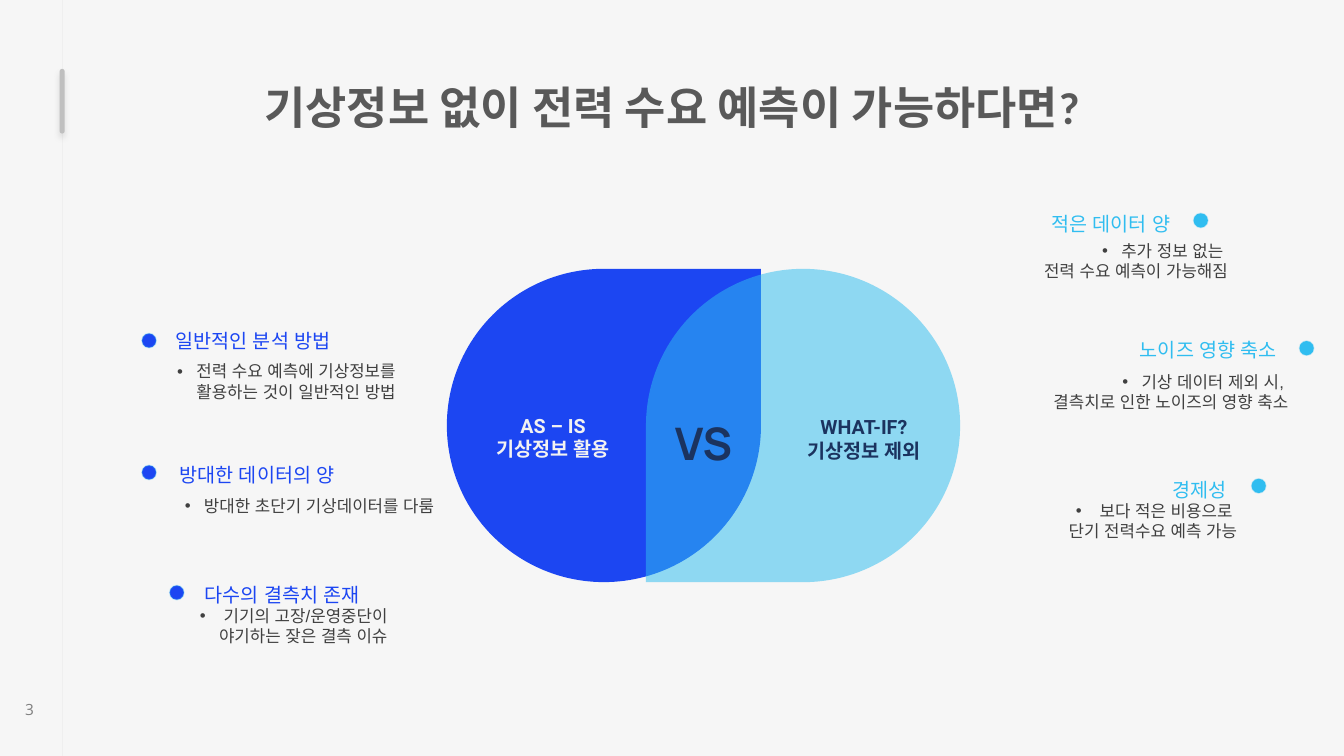
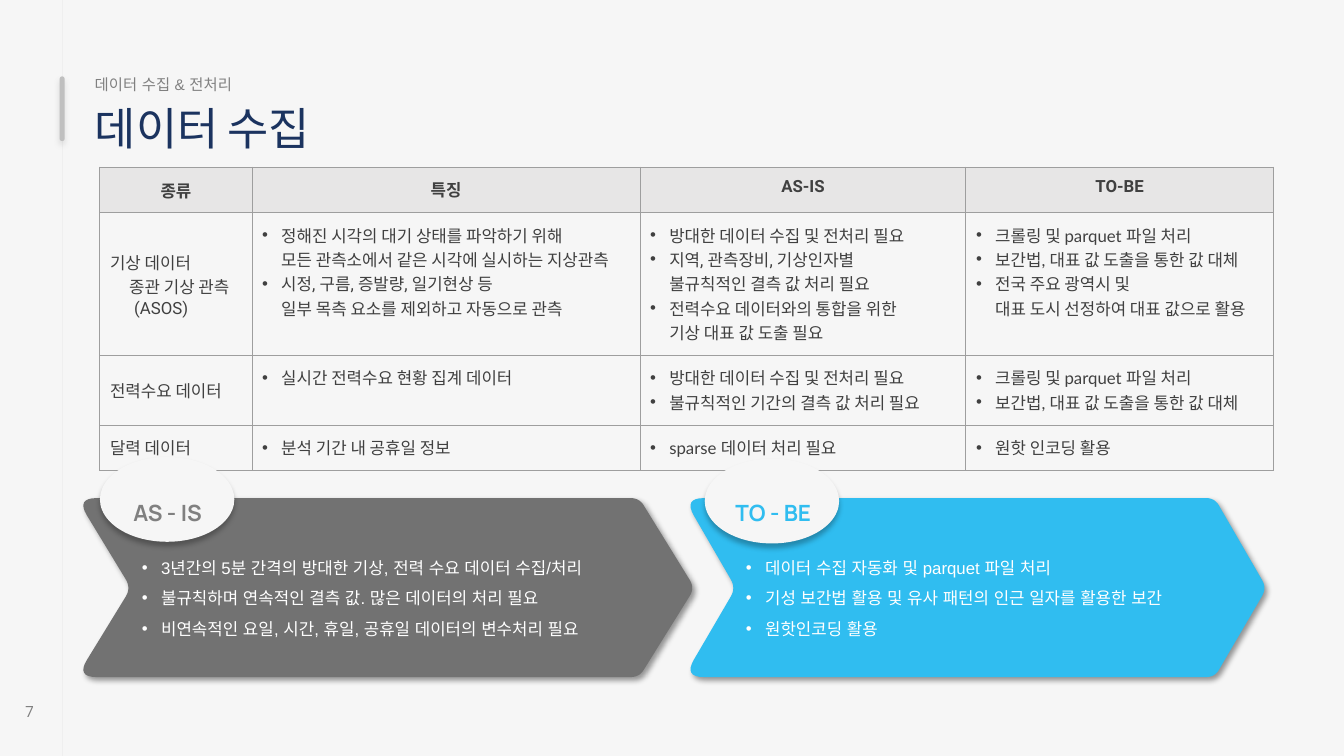
"""Build two slides that weigh weather data against none in power demand forecasts."""
from copy import deepcopy
from dataclasses import dataclass
from lxml import etree
from pptx import Presentation, util as u
from pptx.dml.color import RGBColor
from pptx.enum import shapes, text
from pptx.oxml.ns import qn


@dataclass(frozen=True)
class Theme:
    page: str = "F6F6F6"
    hair: str = "EFEFEF"
    bar: str = "BFBFBF"
    mute: str = "808080"
    title: str = "595959"
    body: str = "404040"
    navy: str = "1B335F"
    blue: str = "1C46F2"
    sky: str = "30BDF0"
    slate: str = "727272"
    head: str = "E7E6E6"
    rule: str = "9E9E9E"
    pale: str = "F2F2F2"
    white: str = "FFFFFF"
    big: int = 32
    badge: int = 16
    label: int = 14
    text: int = 12
    small: int = 11


look = Theme()
deck = Presentation()
deck.slide_width, deck.slide_height = u.Inches(13.33), u.Inches(7.5)
col, row = deck.slide_width / 160, deck.slide_height / 90
kinds = shapes.MSO_SHAPE
left, mid, right = text.PP_ALIGN.LEFT, text.PP_ALIGN.CENTER, text.PP_ALIGN.RIGHT
hang = u.Inches(0.19)
soft = ("808080", 22, 90)
deep = ("000000", 40, 45)
lift = ("000000", 28, 90)


def add(page, kind, box, fill, shade=None):
    """Add a preset shape, or a freeform through a list of points, in grid units."""
    if isinstance(kind, list):
        pen = page.shapes.build_freeform(*kind[0], scale=1.0)
        pen.add_line_segments(kind[1:], close=True)
        form = pen.convert_to_shape()
    else:
        x, y, w, h = box
        form = page.shapes.add_shape(kind, int(x * col), int(y * row), int(w * col), int(h * row))
    form.shadow.inherit = False
    form.fill.solid()
    form.fill.fore_color.rgb = RGBColor.from_string(fill)
    form.line.fill.background()
    if shade:
        hue, part, turn = shade
        glow = etree.SubElement(form._element.spPr.find(qn("a:effectLst")), qn("a:outerShdw"),
                                blurRad=str(u.Pt(4)), dist=str(u.Pt(3)), dir=str(turn * 60000),
                                algn="t", rotWithShape="0")
        tint = etree.SubElement(glow, qn("a:srgbClr"), val=hue)
        etree.SubElement(tint, qn("a:alpha"), val=str(part * 1000))
    return form


def write(host, lines, size, faces, hue, box=None, bold=False, align=left, mark=False,
          pad=None, lead=None, east=True):
    """Write paragraphs in a slide's new text box or in a cell; "|" steps to the next face."""
    if box:
        x, y, w, h = box
        host = host.shapes.add_textbox(int(x * col), int(y * row), int(w * col), int(h * row))
        frame = host.text_frame
        frame.word_wrap = True
        if pad is not None:
            frame.margin_left = frame.margin_right = u.Inches(pad)
            frame.margin_top = frame.margin_bottom = u.Inches(pad)
    else:
        frame = host.text_frame
    for n, line in enumerate(lines):
        para = frame.add_paragraph() if n else frame.paragraphs[0]
        para.alignment = align
        if lead:
            para.line_spacing = lead
        if mark:
            prop = para._p.get_or_add_pPr()
            prop.set("marL", str(hang))
            prop.set("indent", str(-hang))
            etree.SubElement(prop, qn("a:buFont"), typeface="Arial")
            etree.SubElement(prop, qn("a:buChar"), char="•")
        for i, part in enumerate(line.split("|")):
            for j, bit in enumerate(part.split("\n")):
                if j:
                    para.add_line_break()
                    para._p[-1].append(deepcopy(run._r.rPr))
                if not bit:
                    continue
                run = para.add_run()
                run.text = bit
                font = run.font
                font.size, font.bold = u.Pt(size), bold
                font.name = faces[i % len(faces)]
                font.color.rgb = RGBColor.from_string(hue)
                if east:
                    etree.SubElement(run._r.rPr, qn("a:ea"), typeface=font.name)


pages = []
for num, top, foot in (("3", 8.2, 82.7), ("7", 9.1, 83)):
    page = deck.slides.add_slide(deck.slide_layouts[6])
    page.background.fill.solid()
    page.background.fill.fore_color.rgb = RGBColor.from_string(look.page)
    edge = page.shapes.add_connector(shapes.MSO_CONNECTOR.STRAIGHT, int(7.4 * col), 0,
                                     int(7.4 * col), deck.slide_height)
    edge.line.color.rgb = RGBColor.from_string(look.hair)
    edge.line.width = u.Pt(0.5)
    etree.SubElement(edge._element.spPr, qn("a:effectLst"))
    bar = add(page, kinds.ROUNDED_RECTANGLE, (7.1, top, 0.6, 7.7), look.bar, soft)
    bar.adjustments[0] = 0.5
    write(page, [num], look.small, ["Open Sans"], "7F7F7F", (1.8, foot, 5.6, 5.2))
    pages.append(page)
versus, data = pages

write(versus, ["기상정보 없이 전력 수요 예측이 가능하다면?"], look.big, ["Calibri"], look.title,
      (20, 8.9, 120, 7.7), bold=True, align=mid)
add(versus, kinds.TEAR, (53.2, 32, 37.4, 37.3), look.blue)
drop = add(versus, kinds.TEAR, (76.9, 32, 37.4, 37.3), look.sky)
drop.rotation = 180
etree.SubElement(drop._element.spPr.find(".//" + qn("a:srgbClr")), qn("a:alpha"), val="52000")

for lines, x, y, hue, size, face in (
        (["AS – IS", "기상정보 활용"], 57.6, 49, look.pale, look.label, "Roboto"),
        (["WHAT-IF?", "기상정보 제외"], 94.6, 49.2, look.navy, look.label, "Roboto"),
        (["VS"], 75.5, 49.2, look.navy, look.big, "Manrope")):
    write(versus, lines, size, [face], hue, (x, y, 16.5, 7), bold=True, align=mid, pad=0.02)

points = (
    (left, look.blue, (
        ("일반적인 분석 방법", 19.7, 38.6,
         "전력 수요 예측에 기상정보를 활용하는 것이 일반적인 방법", 21.1, 43, 29.6, 16.9, 39.7),
        ("방대한 데이터의 양", 20.2, 54.5,
         "방대한 초단기 기상데이터를 다룸", 22, 59, 31.2, 16.9, 55.4),
        ("다수의 결측치 존재", 23.2, 68.8,
         " 기기의 고장/운영중단이\n야기하는 잦은 결측 이슈", 23.8, 72.1, 37.4, 20.2, 69.7))),
    (right, look.sky, (
        ("적은 데이터 양", 117.1, 24.6,
         "추가 정보 없는 \n전력 수요 예측이 가능해짐", 102.5, 28.6, 43.7, 142.1, 25.4),
        ("노이즈 영향 축소", 129.8, 39.6,
         "기상 데이터 제외 시, \n결측치로 인한 노이즈의 영향 축소", 115.7, 44.2, 37.7, 154.7, 40.6),
        ("경제성", 123.8, 56.3,
         " 보다 적은 비용으로 \n단기 전력수요 예측 가능", 113.6, 59.6, 33.7, 149, 57))))
for side, hue, items in points:
    for name, nx, ny, note, x, y, w, dx, dy in items:
        write(versus, [note], look.text, ["Arial"], look.body, (x, y, w, 4.8),
              align=side, mark=True, pad=0)
        write(versus, [name], look.label, ["Lato"], hue, (nx, ny, 23.4, 4.1), align=side)
        dot = add(versus, kinds.OVAL, (dx, dy, 1.7, 1.7), hue)
        dot.line.color.rgb = RGBColor.from_string(look.sky)
        dot.line.width = u.Pt(1)
        tint = dot.line._ln.find(".//" + qn("a:srgbClr"))
        etree.SubElement(tint, qn("a:alpha"), val="28000")

write(data, ["데이터 수집 & 전처리"], look.small, ["Arial"], look.mute, (10.1, 8.3, 20.8, 3.5))
write(data, ["데이터 수집"], look.big, ["Manrope"], look.navy, (10.1, 11.4, 51.2, 7.7))

crawl = ["크롤링 및 |parquet 파일 처리", "|보간법, 대표 값 도출|을 통한 값 대체"]
bulk = "|방대한 데이터 수집 및 전처리 필요"
cells = (
    (["종류"], ["특징"], ["AS-IS"], ["TO-BE"]),
    (["기상 데이터", "종관 기상 관측", "(ASOS)"],
     ["정해진 시각의 대기 상태를 파악하기 위해 \n|모든 관측소에서 같은 시각에 실시하는 지상관측",
      "시정, 구름, 증발량, 일기현상 등 \n|일부 목측 요소를 제외하고 자동으로 관측"],
     [bulk, "지역, 관측장비, 기상인자별 \n불규칙적인 |결측 값 처리 필요",
      "전력수요 데이터와의 통합을 위한\n|기상 대표 값 도출 필요"],
     crawl + ["전국 주요 광역시 및 \n|대표 도시 선정하여 대표 값으로 활용"]),
    (["전력수요 데이터"], ["|실시간 전력수요 현황 집계 데이터"],
     [bulk, "불규칙적인 기간의 |결측 값 처리 필요"], crawl),
    (["달력 데이터"], ["|분석 기간 내 공휴일 정보"], ["|sparse 데이터 처리 필요"],
     ["|원핫 인코딩| 활용"]))
wides, highs = (18.1, 46.2, 38.8, 36.6), (5.4, 17, 8.3, 5.4)
grid = data.shapes.add_table(4, 4, int(11.9 * col), int(19.9 * row),
                             int(sum(wides) * col), int(sum(highs) * row)).table
grid.first_row = grid.horz_banding = False
for c, wide in enumerate(wides):
    grid.columns[c].width = int(wide * col)
for r, high in enumerate(highs):
    grid.rows[r].height = int(high * row)
    for c, lines in enumerate(cells[r]):
        cell = grid.cell(r, c)
        cell.margin_left = cell.margin_right = u.Inches(0.1)
        cell.margin_top = cell.margin_bottom = u.Inches(0.1)
        cell.vertical_anchor = text.MSO_ANCHOR.TOP if c else text.MSO_ANCHOR.MIDDLE
        for side in ("a:lnL", "a:lnR", "a:lnT", "a:lnB"):
            line = etree.SubElement(cell._tc.get_or_add_tcPr(), qn(side), w=str(u.Pt(0.75)))
            paint = etree.SubElement(line, qn("a:solidFill"))
            etree.SubElement(paint, qn("a:srgbClr"), val=look.rule)
        if r:
            cell.fill.background()
        else:
            cell.fill.solid()
            cell.fill.fore_color.rgb = RGBColor.from_string(look.head)
        write(cell, lines, look.text, ["Roboto", "Lato"], look.body, bold=not r,
              align=left if r else mid, mark=bool(r and c), east=False)
for para, gap in zip(grid.cell(1, 0).text_frame.paragraphs, (0, 0.19, 0.24)):
    para._p.get_or_add_pPr().set("marL", str(u.Inches(gap)))

flows = (
    ("AS - IS", look.slate, look.mute, (9.1, 76.1, 82.7, 15.6), 11.9, 54.4, 14.8, 16.9,
     ["3년간의 5분 간격의 방대한 기상, 전력 수요 데이터 수집/처리",
      "불규칙하며 연속적인 결측 값. 많은 데이터의 처리 필요",
      "비연속적인 요일, 시간, 휴일, 공휴일 데이터의 변수처리 필요"]),
    ("TO - BE", look.sky, look.sky, (81.4, 144.6, 150.8, 87.6), 83.9, 54.6, 86.9, 88.8,
     ["데이터 수집 자동화 및 parquet 파일 처리",
      "기성 보간법 활용 및 유사 패턴의 인근 일자를 활용한 보간",
      "원핫인코딩 활용"]))
cuts, steps = (2.4, 1, 1.1, 1, 2.4, 1.2), 8
for name, fill, hue, (back, neck, tip, notch), ox, oy, bx, lx, lines in flows:
    ends = [(back, 59.3), (neck, 59.3), (tip, 70), (neck, 80.6), (back, 80.6), (notch, 70)]
    rim = []
    for i, (x, y) in enumerate(ends):
        arms = []
        for px, py in (ends[i - 1], ends[(i + 1) % 6]):
            share = cuts[i] / ((px - x) ** 2 + (py - y) ** 2) ** 0.5
            arms.append((x + (px - x) * share, y + (py - y) * share))
        (ax, ay), (ex, ey) = arms
        for k in range(steps + 1):
            t = k / steps
            p, q, s = (1 - t) ** 2, 2 * t * (1 - t), t * t
            rim.append((int((p * ax + q * x + s * ex) * col), int((p * ay + q * y + s * ey) * row)))
    add(data, rim, None, fill, deep)
    add(data, kinds.OVAL, (ox, oy, 16, 10.1), look.page, lift)
    write(data, [name], look.badge, ["Manrope"], hue, (bx, 59.2, 10.3, 3.7),
          bold=True, align=mid, pad=0.02)
    write(data, lines, look.text, ["Arial"], look.white, (lx, 65.2, 59.3, 10.4),
          mark=True, pad=0, lead=1.5)

deck.save("out.pptx")
